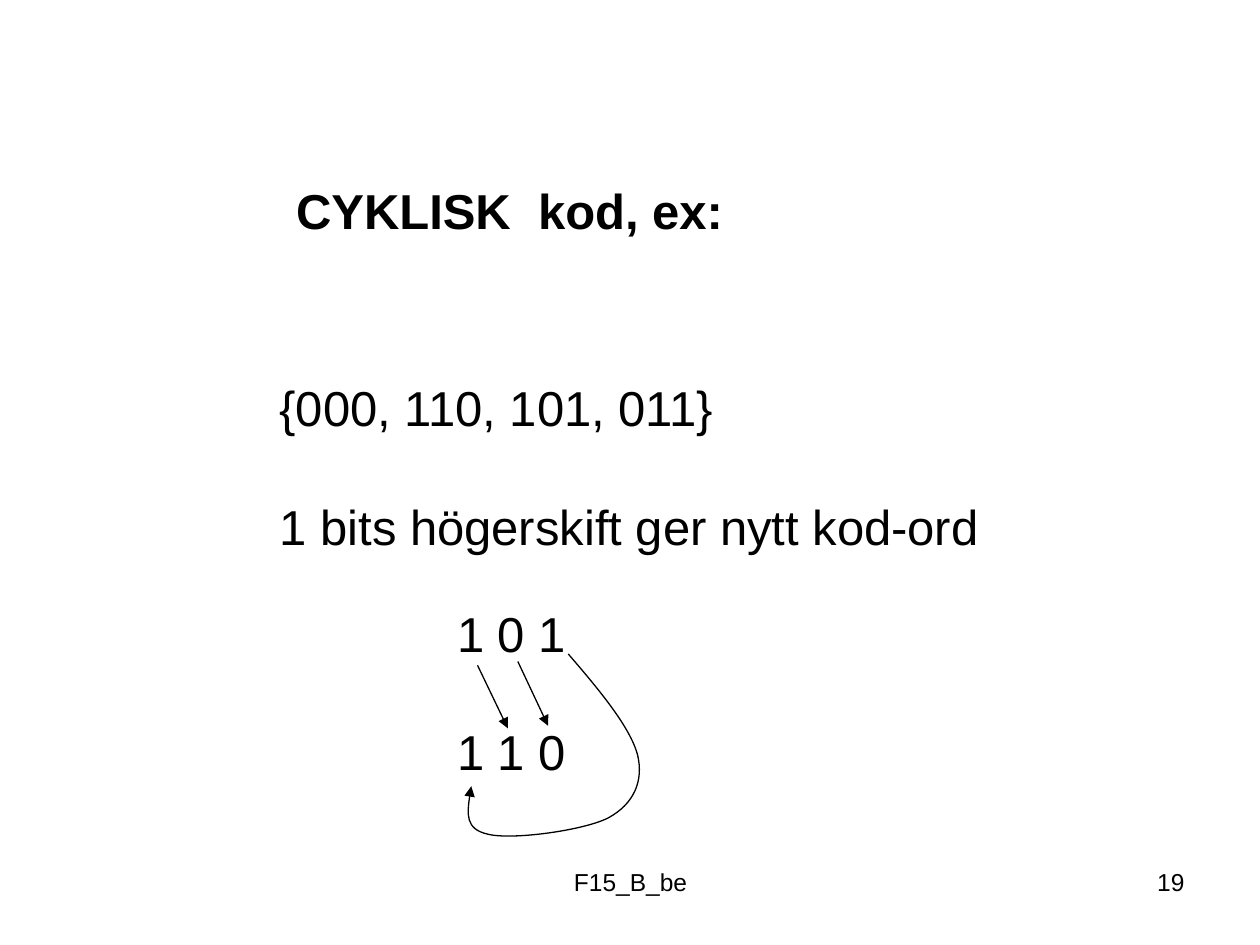
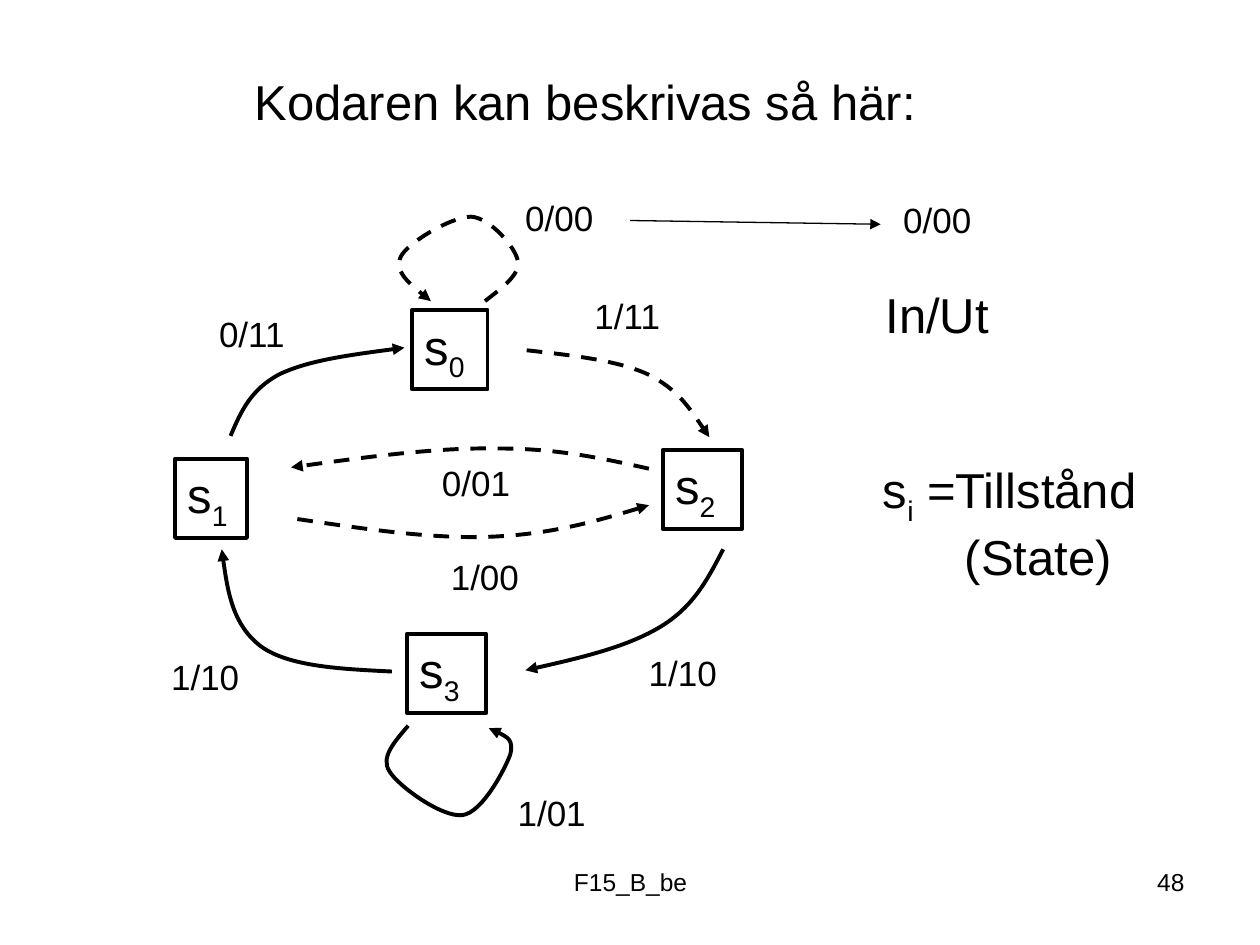
from lxml.etree import SubElement
from pptx import Presentation
from pptx.dml.color import RGBColor
from pptx.enum.dml import MSO_LINE_DASH_STYLE as DASH
from pptx.enum.shapes import MSO_CONNECTOR, MSO_SHAPE
from pptx.enum.text import MSO_ANCHOR, MSO_AUTO_SIZE, PP_ALIGN
from pptx.oxml.ns import qn
from pptx.util import Inches, Pt

BLACK = RGBColor(0x00, 0x00, 0x00)
FONT = "Arial"
BODY_SIZE, LABEL_SIZE, FOOTER_SIZE = 28, 20, 14
THIN, THICK = 0.75, 2.25
SUBSCRIPT = {"baseline": "-25000"}
WIDE_SPACE = {"spc": "780"}
BLANK_LINE = 34
TITLE_ONLY = 5

STATES = [
    ("0", 3.27, 2.46, 0.6),
    ("2", 5.26, 3.57, 0.63),
    ("1", 1.39, 3.64, 0.57),
    ("3", 3.23, 5.03, 0.63),
]
STATE_HEIGHT = 0.63

# Each curve is a start point followed by three points per cubic segment.
BIT_WRAP = [(4.51, 5.19), (4.76, 5.48), (5, 5.77), (5.06, 5.99),
            (5.11, 6.2), (5.03, 6.38), (4.83, 6.49),
            (4.64, 6.59), (4.06, 6.67), (3.87, 6.62),
            (3.69, 6.58), (3.71, 6.41), (3.74, 6.24)]
DASHED_TRANSITIONS = [
    [(3.85, 2.39), (3.99, 2.28), (4.13, 2.18), (4.11, 2.07),
     (4.09, 1.96), (3.89, 1.73), (3.74, 1.72),
     (3.58, 1.72), (3.23, 1.93), (3.18, 2.04),
     (3.13, 2.15), (3.27, 2.27), (3.42, 2.39)],
    [(4.18, 2.78), (4.54, 2.82), (4.9, 2.86), (5.14, 2.97),
     (5.38, 3.09), (5.5, 3.28), (5.63, 3.47)],
    [(5.15, 3.72), (4.79, 3.64), (4.43, 3.56), (3.96, 3.56),
     (3.48, 3.55), (2.89, 3.63), (2.31, 3.71)],
    [(2.36, 4.12), (2.9, 4.2), (3.44, 4.28), (3.9, 4.26),
     (4.37, 4.24), (4.76, 4.13), (5.15, 4.01)],
]
SOLID_TRANSITIONS = [
    [(3.24, 5.76), (3.13, 5.89), (3.02, 6.01), (3.09, 6.12),
     (3.16, 6.24), (3.51, 6.49), (3.67, 6.47),
     (3.83, 6.45), (4.01, 6.1), (4.05, 5.99),
     (4.08, 5.87), (3.98, 5.82), (3.88, 5.78)],
    [(1.83, 3.46), (1.91, 3.27), (1.99, 3.09), (2.22, 2.97),
     (2.45, 2.86), (2.83, 2.81), (3.21, 2.76)],
    [(5.74, 4.36), (5.62, 4.59), (5.51, 4.81), (5.25, 4.97),
     (4.99, 5.13), (4.58, 5.23), (4.17, 5.32)],
    [(3.11, 5.33), (2.7, 5.31), (2.29, 5.29), (2.07, 5.13),
     (1.85, 4.96), (1.8, 4.66), (1.76, 4.36)],
]
TRANSITION_LABELS = [
    ("0/00", 4.07, 1.51), ("1/11", 4.62, 2.29), ("1/01", 4.01, 6.23),
    ("1/10", 5.05, 5.12), ("1/00", 3.48, 4.36), ("0/01", 3.41, 3.61),
    ("0/11", 1.64, 2.43), ("1/10", 1.26, 5.15), ("0/00", 7.07, 1.53),
]


def write(paragraph, runs, size, bold=False):
    """Fill a paragraph; a run is a string or a (string, run attributes) pair."""
    for part in [runs] if isinstance(runs, str) else runs:
        words, attributes = (part, {}) if isinstance(part, str) else part
        run = paragraph.add_run()
        run.text = words
        for name, value in {"name": FONT, "size": Pt(size), "bold": bold}.items():
            setattr(run.font, name, value)
        run.font.color.rgb = BLACK
        for name, value in attributes.items():
            run.font._element.set(name, value)


def set_frame(frame):
    settings = {"word_wrap": True, "auto_size": MSO_AUTO_SIZE.NONE,
                "vertical_anchor": MSO_ANCHOR.TOP}
    for name, value in settings.items():
        setattr(frame, name, value)


def add_text(slide, box, lines, size=BODY_SIZE, align=PP_ALIGN.LEFT,
             gap=0, indent=0):
    """Add lines of text; gap and indent apply to the lines after the first."""
    frame = slide.shapes.add_textbox(*map(Inches, box)).text_frame
    set_frame(frame)
    for number, line in enumerate(lines):
        paragraph = frame.add_paragraph() if number else frame.paragraphs[0]
        paragraph.alignment = align
        if number and gap:
            paragraph.space_before = Pt(gap)
        if number and indent:
            paragraph._p.get_or_add_pPr().set("marL", str(Inches(indent)))
        write(paragraph, line, size)


def add_slide(deck, title_box, title, number, bold=False):
    """Add a slide with its title, footer and slide number."""
    slide = deck.slides.add_slide(deck.slide_layouts[TITLE_ONLY])
    heading = slide.shapes.title
    for name, value in zip(("left", "top", "width", "height"), title_box):
        setattr(heading, name, Inches(value))
    set_frame(heading.text_frame)
    paragraph = heading.text_frame.paragraphs[0]
    paragraph.alignment = PP_ALIGN.LEFT
    write(paragraph, title, BODY_SIZE, bold)
    add_text(slide, (3.42, 6.83, 3.17, 0.52), ["F15_B_be"], FOOTER_SIZE,
             PP_ALIGN.CENTER)
    add_text(slide, (7.17, 6.83, 2.33, 0.52), [number], FOOTER_SIZE,
             PP_ALIGN.RIGHT)
    return slide


def style_arrow(line, weight, dashed=False):
    line.color.rgb = BLACK
    line.width = Pt(weight)
    if dashed:
        line.dash_style = DASH.DASH
    SubElement(line._get_or_add_ln(), qn("a:tailEnd"), type="triangle")


def add_arrow(slide, start, end):
    arrow = slide.shapes.add_connector(
        MSO_CONNECTOR.STRAIGHT, *map(Inches, (*start, *end)))
    style_arrow(arrow.line, THIN)
    SubElement(arrow._element.spPr, qn("a:effectLst"))


def add_curve(slide, points, weight, dashed=False):
    """Draw an open arrow, turning each three line segments into one cubic."""
    start, *rest = [(Inches(x), Inches(y)) for x, y in points]
    builder = slide.shapes.build_freeform(*start)
    builder.add_line_segments(rest, close=False)
    curve = builder.convert_to_shape()
    curve.shadow.inherit = False
    curve.fill.background()
    style_arrow(curve.line, weight, dashed)
    outline = next(curve._element.iter(qn("a:path")))
    segments = outline.findall(qn("a:lnTo"))
    for first in range(0, len(segments), 3):
        cubic = SubElement(outline, qn("a:cubicBezTo"))
        for segment in segments[first:first + 3]:
            cubic.append(segment[0])
            outline.remove(segment)


def add_state(slide, index, left, top, width):
    state = slide.shapes.add_shape(
        MSO_SHAPE.RECTANGLE, *map(Inches, (left, top, width, STATE_HEIGHT)))
    state.shadow.inherit = False
    state.fill.background()
    state.line.color.rgb = BLACK
    state.line.width = Pt(THICK)
    set_frame(state.text_frame)
    paragraph = state.text_frame.paragraphs[0]
    paragraph.alignment = PP_ALIGN.LEFT
    write(paragraph, ["s", (index, SUBSCRIPT)], BODY_SIZE)


def build_cyclic_code(deck):
    slide = add_slide(deck, (2.25, 1.38, 3.65, 0.57),
                      ["CYKLISK", (" ", WIDE_SPACE), "kod, ex:"], "19", bold=True)
    add_text(slide, (2.12, 2.95, 5.85, 1.5),
             ["{000, 110, 101, 011}", "1 bits högerskift ger nytt kod-ord"],
             gap=BLANK_LINE)
    add_text(slide, (3.53, 4.74, 1.15, 1.5), ["1 0 1", "1 1 0"], gap=BLANK_LINE)
    add_arrow(slide, (3.79, 5.28), (4.03, 5.78))
    add_arrow(slide, (4.11, 5.25), (4.35, 5.76))
    add_curve(slide, BIT_WRAP, THIN)


def build_state_diagram(deck):
    slide = add_slide(deck, (1.92, 0.52, 5.55, 0.57),
                      "Kodaren kan beskrivas så här:", "48")
    for state in STATES:
        add_state(slide, *state)
    for points in DASHED_TRANSITIONS:
        add_curve(slide, points, THICK, dashed=True)
    for points in SOLID_TRANSITIONS:
        add_curve(slide, points, THICK)
    for label, left, top in TRANSITION_LABELS:
        add_text(slide, (left, top, 0.8, 0.44), [label], LABEL_SIZE)
    add_arrow(slide, (5, 1.75), (6.99, 1.78))
    add_text(slide, (6.93, 2.21, 1.1, 0.57), ["In/Ut"])
    add_text(slide, (6.91, 3.6, 2.3, 1.1),
             [["s", ("i", SUBSCRIPT), " =Tillstånd"], "(State)"], indent=0.65)


def main():
    deck = Presentation()
    deck.slide_width, deck.slide_height = Inches(10), Inches(7.5)
    build_cyclic_code(deck)
    build_state_diagram(deck)
    deck.save("out.pptx")


if __name__ == "__main__":
    main()
